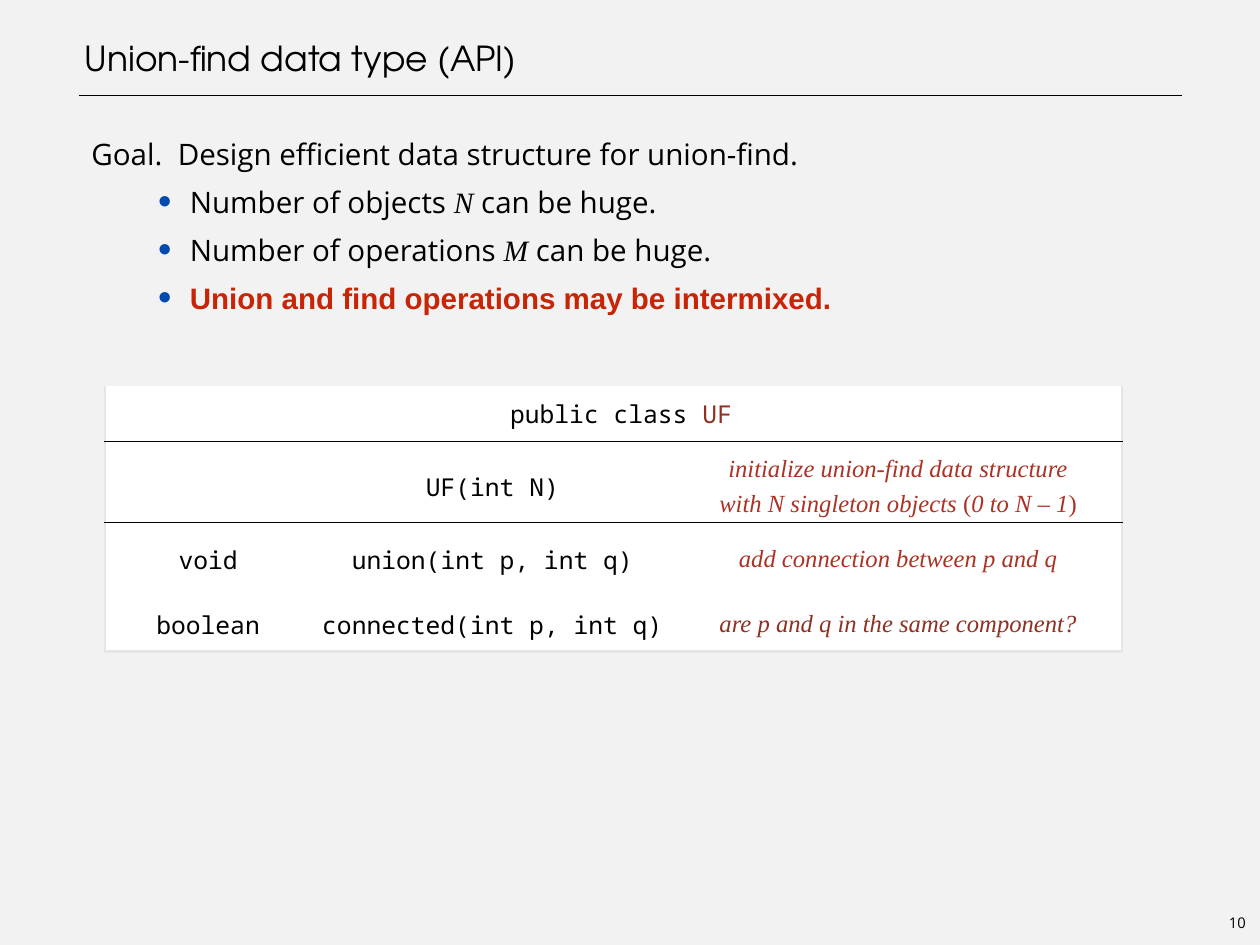
import pptx
import pptx.dml.color
import pptx.enum.shapes
import pptx.enum.text
import pptx.oxml.ns
import pptx.util
from lxml import etree

Cm, Pt = pptx.util.Cm, pptx.util.Pt
RGBColor = pptx.dml.color.RGBColor
ALIGN = pptx.enum.text.PP_ALIGN
ANCHOR = pptx.enum.text.MSO_ANCHOR
qn = pptx.oxml.ns.qn

BACKGROUND = RGBColor(0xF2, 0xF2, 0xF2)
BLACK = RGBColor(0x00, 0x00, 0x00)
WHITE = RGBColor(0xFF, 0xFF, 0xFF)
BULLET_BLUE = RGBColor(0x00, 0x4A, 0xAD)
RED = RGBColor(0xC8, 0x25, 0x06)
BRICK = RGBColor(0xAB, 0x32, 0x25)
BROWN = RGBColor(0x8D, 0x31, 0x24)
EDGE_GREY = RGBColor(0xE6, 0xE6, 0xE6)

TITLE, BODY, MONO = "TeX Gyre Adventor", "Open Sans", "Noto Sans Mono"
SERIF, SANS = "Times New Roman", "Arial"
NO_GRID_STYLE = "{2D5ABB26-0587-4C30-8999-92F81FD0307C}"


def add_run(p, text, font, size, color=BLACK, bold=False, italic=False):
    r = p.add_run()
    r.text = text
    r.font.name, r.font.size = font, Pt(size)
    r.font.bold, r.font.italic = bold, italic
    r.font.color.rgb = color


def add_textbox(s, x, y, w, h):
    tf = s.shapes.add_textbox(Cm(x), Cm(y), Cm(w), Cm(h)).text_frame
    tf.word_wrap = True
    tf.margin_left = tf.margin_right = tf.margin_top = tf.margin_bottom = 0
    return tf


def add_bullet(p):
    pPr = p._p.get_or_add_pPr()
    pPr.set("marL", str(Cm(2.79)))
    pPr.set("indent", str(Cm(-1.02)))
    color = etree.SubElement(pPr, qn("a:buClr"))
    etree.SubElement(color, qn("a:srgbClr"), val=str(BULLET_BLUE))
    etree.SubElement(pPr, qn("a:buSzPct"), val="167000")
    etree.SubElement(pPr, qn("a:buFont"), typeface=BODY)
    etree.SubElement(pPr, qn("a:buChar"), char="・")


def add_border(cell, side, color, width):
    ln = etree.SubElement(cell._tc.get_or_add_tcPr(), qn("a:ln" + side), w=str(Pt(width)))
    fill = etree.SubElement(ln, qn("a:solidFill"))
    etree.SubElement(fill, qn("a:srgbClr"), val=str(color))


def add_title(s, x, y, w, h):
    tf = add_textbox(s, x, y, w, h)
    tf.vertical_anchor = ANCHOR.BOTTOM
    tf.margin_left = Cm(0.15)
    add_run(tf.paragraphs[0], "Union-find data type (API)", TITLE, 28)
    # Rule below the title
    rule = s.shapes.add_connector(pptx.enum.shapes.MSO_CONNECTOR.STRAIGHT,
                                  Cm(x), Cm(y + h + 0.48), Cm(x + w), Cm(y + h + 0.48))
    rule.line.color.rgb = BLACK
    rule.line.width = Pt(1.5)
    etree.SubElement(rule._element.spPr, qn("a:effectLst"))


def add_goal(s, x, y, w, h):
    tf = add_textbox(s, x, y, w, h)
    p = tf.paragraphs[0]
    p.line_spacing = Pt(39)
    p._p.get_or_add_pPr().set("indent", str(Cm(0.36)))
    add_run(p, "Goal.  Design efficient data structure for union-find.", BODY, 24)

    def size_bullet(noun, letter):
        return [(f"Number of {noun} ", dict(font=BODY)),
                (letter, dict(font=SERIF, italic=True)),
                (" can be huge.", dict(font=BODY))]

    bullets = [
        size_bullet("objects", "N"),
        size_bullet("operations", "M"),
        [("Union and find operations may be intermixed.",
          dict(font=SANS, color=RED, bold=True))],
    ]
    for runs in bullets:
        p = tf.add_paragraph()
        p.level = 1
        p.line_spacing = Pt(39)
        add_bullet(p)
        for text, style in runs:
            add_run(p, text, size=24, **style)


def add_api_table(s, x, y, widths, heights):
    code = dict(font=MONO)
    note = dict(font=SERIF, color=BRICK, italic=True)
    upright = dict(note, italic=False)
    rows = [
        [[("public class ", code), ("UF", dict(code, color=BROWN))], [], []],
        [[], [("UF(int N)", code)],
         [("initialize union-find data structure", note), ("\n", note),
          ("with N singleton objects ", note), ("(", upright),
          ("0 to N – 1", note), (")", upright)]],
        [[("void", code)], [("union(int p, int q)", code)],
         [("add connection between p and q", note)]],
        [[("boolean", code)], [("connected(int p, int q)", code)],
         [("are p and q in the same component?", dict(note, color=BROWN))]],
    ]
    last_row, last_col = len(rows) - 1, len(widths) - 1
    table = s.shapes.add_table(len(rows), len(widths), Cm(x), Cm(y),
                               Cm(sum(widths)), Cm(sum(heights))).table
    table.first_row = table.horz_banding = False
    table._tbl.tblPr.find(qn("a:tableStyleId")).text = NO_GRID_STYLE
    for column, width in zip(table.columns, widths):
        column.width = Cm(width)
    for row, height in zip(table.rows, heights):
        row.height = Cm(height)
    table.cell(0, 0).merge(table.cell(0, last_col))

    for i, row in enumerate(rows):
        for j, runs in enumerate(row):
            cell = table.cell(i, j)
            # Grey outer edge, black line below the class name
            if j == 0:
                add_border(cell, "L", EDGE_GREY, 2)
            if j == last_col or i == 0:
                add_border(cell, "R", EDGE_GREY, 2)
            if i == 1:
                add_border(cell, "T", BLACK, 1)
            if i in (0, last_row):
                add_border(cell, "B", *((BLACK, 1) if i == 0 else (EDGE_GREY, 2.5)))
            cell.fill.solid()
            cell.fill.fore_color.rgb = WHITE
            cell.vertical_anchor = ANCHOR.MIDDLE
            cell.margin_left = Cm(0.57 if i == 0 else 0.15)
            cell.margin_right = Cm(0.15)
            cell.margin_top = cell.margin_bottom = Cm(0.06 if i == 1 else 0.15)
            # Cell text
            p = cell.text_frame.paragraphs[0]
            p.alignment = ALIGN.CENTER
            if i > 0:
                p.line_spacing = 1.3
            for text, style in runs:
                if text == "\n":
                    p.add_line_break()
                else:
                    add_run(p, text, size=20, **style)


def add_page_number(s, x, y, w, h):
    tf = add_textbox(s, x, y, w, h)
    tf.vertical_anchor = ANCHOR.MIDDLE
    tf.paragraphs[0].alignment = ALIGN.CENTER
    add_run(tf.paragraphs[0], "10", BODY, 12)


def main():
    prs = pptx.Presentation()
    prs.slide_width, prs.slide_height = Cm(36.12), Cm(27.1)
    s = prs.slides.add_slide(prs.slide_layouts[6])
    s.background.fill.solid()
    s.background.fill.fore_color.rgb = BACKGROUND
    add_title(s, 2.27, 0, 31.6, 2.26)
    add_goal(s, 2.26, 3.53, 31.6, 22.58)
    add_api_table(s, 3.02, 11.07, [5.89, 10.41, 12.85], [1.6, 2.26, 1.85, 1.85])
    add_page_number(s, 34.97, 26.06, 1, 0.79)
    prs.save("out.pptx")


if __name__ == "__main__":
    main()
